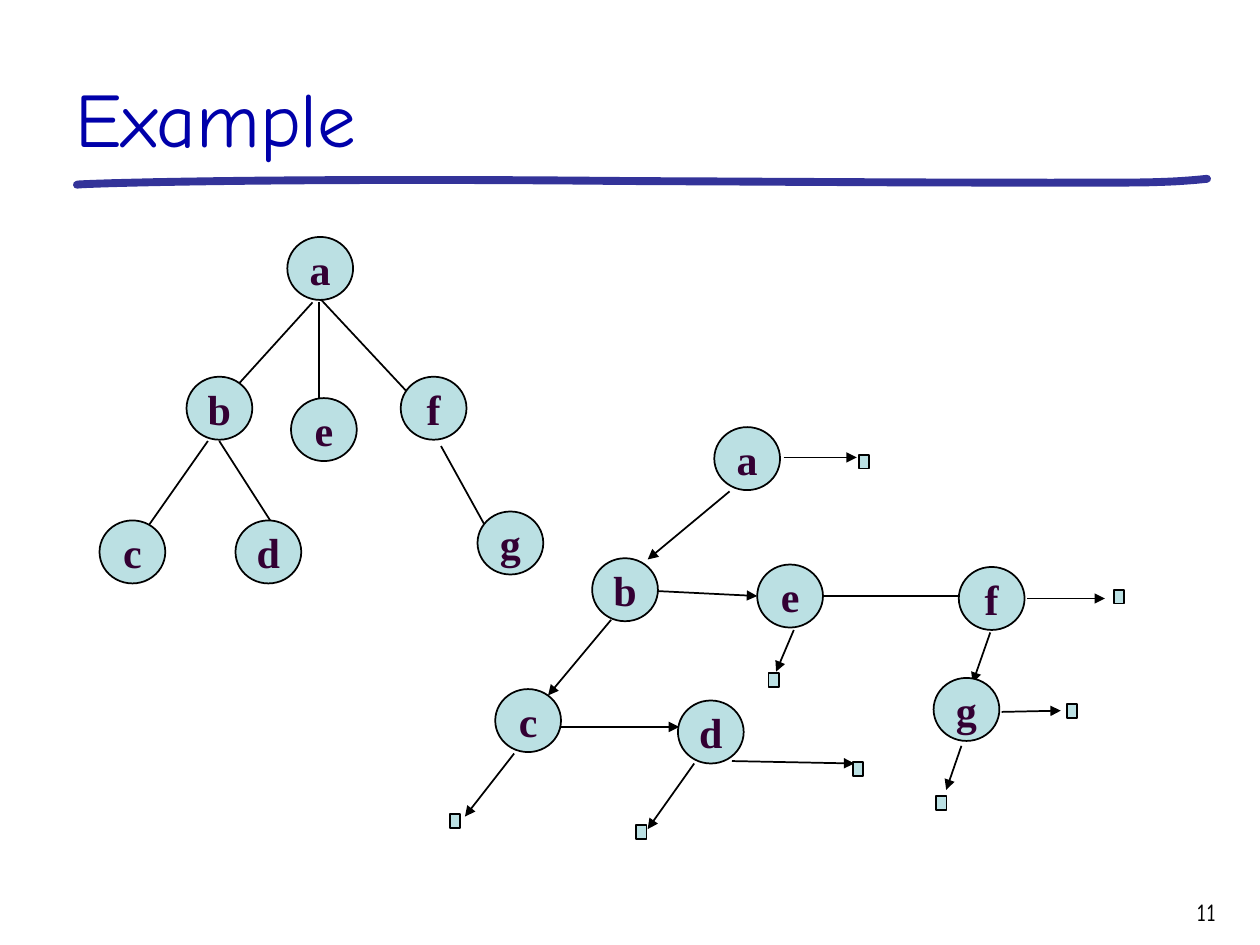
from pptx import Presentation
from pptx.dml.color import RGBColor
from pptx.enum.shapes import MSO_CONNECTOR, MSO_SHAPE
from pptx.enum.text import MSO_ANCHOR, PP_ALIGN
from pptx.oxml.ns import qn
from pptx.util import Pt
from lxml.etree import SubElement

BLACK = RGBColor(0, 0, 0)
BLUE = RGBColor(0, 0, 0xAA)
RULE = RGBColor(0x33, 0x33, 0x99)
FILL = RGBColor(0xBB, 0xE0, 0xE3)
PLUM = RGBColor(0x33, 0, 0x33)
SANS, SERIF = "Comic Neue", "Times New Roman"

NODE = (37.6, 36)
LEAF = (5.8, 7.9)

# Nodes and leaves: left, top. Edges: start x, y, end x, y.
TREE = {
    "nodes": [("a", 164.2, 135.4), ("b", 106.6, 215.3), ("f", 229, 215.3),
              ("e", 166.3, 227.5), ("c", 56.9, 297.4), ("d", 134.6, 297.4),
              ("g", 272.9, 292.3)],
    "leaves": [],
    "edges": [(178.6, 172.8, 136.8, 218.9), (183.6, 171.4, 234, 225.4),
              (182.2, 172.8, 182.2, 229.7), (118.8, 252, 85, 300.2),
              (125.3, 252, 156.2, 300.2), (252, 254.9, 277.9, 301.7)],
    "arrow": False,
}
BINARY = {
    "nodes": [("a", 408.2, 244.1), ("b", 338.4, 319), ("e", 432.7, 322.6),
              ("c", 283, 393.8), ("d", 387.4, 400.3), ("f", 547.9, 324),
              ("g", 533.5, 387.4)],
    "leaves": [(491, 259.9), (257, 465.1), (363.6, 471.6), (487.4, 435.6),
               (439.2, 384.5), (636.5, 337), (535, 455), (609.8, 402.5)],
    "edges": [(447.8, 261.4, 489.6, 261.4), (416.9, 280.8, 370.1, 319.7),
              (374.4, 337.7, 432.7, 340.6), (349.2, 354.2, 313.2, 397.4),
              (293.8, 430.6, 265.7, 466.6), (318.2, 415.4, 388.1, 415.4),
              (396.7, 436.3, 370.1, 473.8), (418.3, 434.9, 488.2, 436.3),
              (453.6, 360, 443.5, 383.8), (470.2, 340.6, 554.4, 340.6),
              (565.9, 361.4, 555.8, 390.2), (586.8, 342, 631.4, 342),
              (549.4, 426.2, 540.7, 451.4), (572.4, 406.8, 606.2, 406.1)],
    "arrow": True,
}
# Stroke under the title: start point, then Bezier segments.
START = (44, 105.6)
CURVES = [((44, 105), (150, 101.5), (359, 103.5)),
          ((470, 104), (550, 104.6), (630.7, 104.4)),
          ((650.9, 104.4), (670.3, 104.4), (689.8, 102.2))]

prs = Presentation()
prs.slide_width, prs.slide_height = Pt(720), Pt(540)
slide = prs.slides.add_slide(prs.slide_layouts[6])
shapes = slide.shapes


def write(frame, text, size=24, font=SERIF, color=PLUM, bold=False,
          align=PP_ALIGN.LEFT, anchor=MSO_ANCHOR.TOP, wrap=True):
    frame.word_wrap = wrap
    frame.vertical_anchor = anchor
    para = frame.paragraphs[0]
    para.alignment = align
    run = para.add_run()
    run.text = text
    run.font.size, run.font.name, run.font.bold = Pt(size), font, bold
    run.font.color.rgb = color


def add_box(kind, left, top, size):
    box = shapes.add_shape(kind, Pt(left), Pt(top), *map(Pt, size))
    box.shadow.inherit = False
    box.fill.solid()
    box.fill.fore_color.rgb = FILL
    box.line.color.rgb = BLACK
    box.line.width = Pt(1)
    return box


def add_edge(ends, arrow):
    edge = shapes.add_connector(MSO_CONNECTOR.STRAIGHT, *map(Pt, ends))
    edge.line.color.rgb = BLACK
    edge.line.width = Pt(1)
    if arrow:
        SubElement(edge.line._get_or_add_ln(), qn("a:tailEnd"), type="triangle")
    SubElement(edge._element.spPr, qn("a:effectLst"))


def add_graph(graph):
    for ends in graph["edges"]:
        add_edge(ends, graph["arrow"])
    for left, top in graph["leaves"]:
        add_box(MSO_SHAPE.RECTANGLE, left, top, LEAF)
    for name, left, top in graph["nodes"]:
        node = add_box(MSO_SHAPE.OVAL, left, top, NODE)
        write(node.text_frame, name, bold=True, align=PP_ALIGN.CENTER,
              anchor=MSO_ANCHOR.MIDDLE, wrap=False)


def trace(start, curves, steps=16):
    """Return the points along a chain of cubic Bezier curves."""
    points = [start]
    for one, two, end in curves:
        first = points[-1]
        for step in range(1, steps + 1):
            t = step / steps
            u = 1 - t
            points.append(tuple(
                u**3 * a + 3 * u * u * t * b + 3 * u * t * t * c + t**3 * d
                for a, b, c, d in zip(first, one, two, end)))
    return points


def add_stroke():
    points = [(Pt(x), Pt(y)) for x, y in trace(START, CURVES)]
    pen = shapes.build_freeform(*points[0])
    pen.add_line_segments(points[1:], close=False)
    stroke = pen.convert_to_shape()
    stroke.shadow.inherit = False
    stroke.fill.background()
    stroke.line.color.rgb = RULE
    stroke.line.width = Pt(4.5)
    line = stroke.line._get_or_add_ln()
    line.set("cap", "rnd")
    SubElement(line, qn("a:round"))


add_stroke()
title = shapes.add_textbox(Pt(36), Pt(12.2), Pt(666), Pt(84.2))
write(title.text_frame, "Example", size=44, font=SANS, color=BLUE,
      anchor=MSO_ANCHOR.BOTTOM)
number = shapes.add_textbox(Pt(630), Pt(509), Pt(72), Pt(25.2))
write(number.text_frame, "11", size=14, font=SANS, color=BLACK,
      align=PP_ALIGN.RIGHT)
add_graph(TREE)
add_graph(BINARY)
prs.save("out.pptx")
